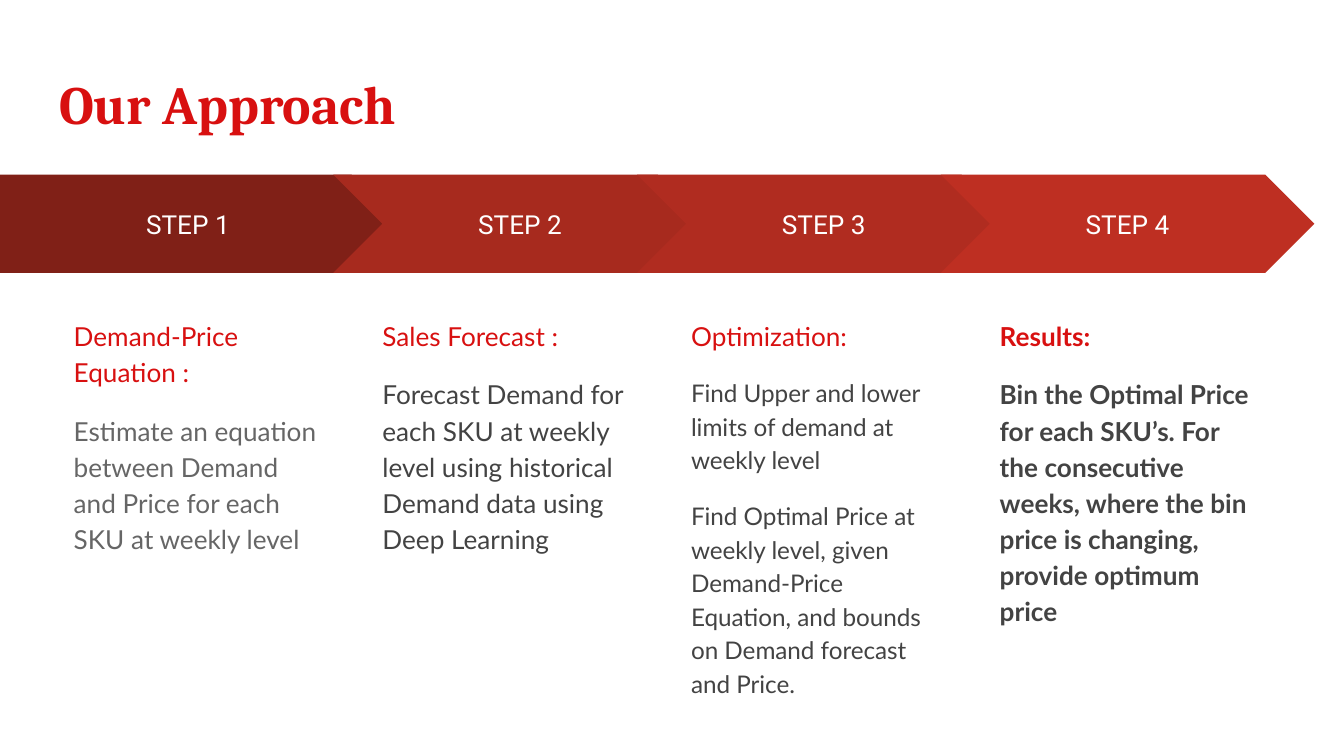
from pptx import Presentation
from pptx.dml.color import RGBColor
from pptx.enum.shapes import MSO_SHAPE
from pptx.enum.text import MSO_ANCHOR, MSO_AUTO_SIZE, PP_ALIGN
from pptx.util import Inches, Pt

RED = RGBColor(0xD8, 0x10, 0x10)
WHITE = RGBColor(0xFF, 0xFF, 0xFF)
GRAY = RGBColor(0x66, 0x66, 0x66)
DARK_GRAY = RGBColor(0x43, 0x43, 0x43)

# Content
TITLE = "Our Approach"
STEPS = [
    {"color": RGBColor(0x80, 0x20, 0x17), "heading": "Demand-Price Equation :",
     "body": ["Estimate an equation between Demand and Price for each SKU at weekly level"],
     "text_color": GRAY, "size": 14, "bold": False},
    {"color": RGBColor(0xA7, 0x2A, 0x1E), "heading": "Sales Forecast :",
     "body": ["Forecast Demand for each SKU at weekly level using historical "
              "Demand data using Deep Learning"],
     "text_color": DARK_GRAY, "size": 14, "bold": False},
    {"color": RGBColor(0xB0, 0x2C, 0x20), "heading": "Optimization:",
     "body": ["Find Upper and lower limits of demand at weekly level",
              "Find Optimal Price at weekly level, given Demand-Price Equation, "
              "and bounds on Demand forecast and Price."],
     "text_color": DARK_GRAY, "size": 13, "bold": False},
    {"color": RGBColor(0xBE, 0x2F, 0x22), "heading": "Results:",
     "body": ["Bin the Optimal Price for each SKU’s. For the consecutive weeks, "
              "where the bin price is changing, provide optimum price"],
     "text_color": DARK_GRAY, "size": 14, "bold": True},
]

# Layout, in inches
SLIDE_WIDTH = 10
SLIDE_HEIGHT = SLIDE_WIDTH * 9 / 16
ARROW_TOP, ARROW_HEIGHT = 1.3, 0.73
FIRST_ARROW_WIDTH, CHEVRON_WIDTH = 2.98, 2.78
CHEVRON_LEFT, CHEVRON_PITCH = 2.48, 2.26
FIRST_COLUMN_LEFT, LAST_COLUMN_LEFT = 0.45, 7.34
COLUMN_PITCH = (LAST_COLUMN_LEFT - FIRST_COLUMN_LEFT) / (len(STEPS) - 1)
COLUMN_TOP, COLUMN_WIDTH, COLUMN_HEIGHT = 2.25, 2.08, 2.86

FRAME_FORMAT = {
    "word_wrap": True, "auto_size": MSO_AUTO_SIZE.NONE,
    "margin_left": Inches(0.1), "margin_right": Inches(0.1),
    "margin_top": Inches(0.1), "margin_bottom": Inches(0.1),
}


def set_attributes(target, values):
    for name, value in values.items():
        setattr(target, name, value)


def format_frame(frame, anchor):
    set_attributes(frame, {**FRAME_FORMAT, "vertical_anchor": anchor})


def write_paragraph(paragraph, text, font_name, size, color, bold=False, **paragraph_format):
    run = paragraph.add_run()
    run.text = text
    set_attributes(run.font, {"name": font_name, "size": Pt(size), "bold": bold})
    run.font.color.rgb = color
    set_attributes(paragraph, paragraph_format)


def add_arrow(slide, index, color):
    if index == 0:
        kind, left, width = MSO_SHAPE.PENTAGON, 0, FIRST_ARROW_WIDTH
    else:
        kind, width = MSO_SHAPE.CHEVRON, CHEVRON_WIDTH
        left = CHEVRON_LEFT + (index - 1) * CHEVRON_PITCH
    arrow = slide.shapes.add_shape(kind, Inches(left), Inches(ARROW_TOP),
                                   Inches(width), Inches(ARROW_HEIGHT))
    arrow.adjustments[0] = 0.5
    arrow.shadow.inherit = False
    arrow.fill.solid()
    arrow.fill.fore_color.rgb = color
    arrow.line.fill.background()
    format_frame(arrow.text_frame, MSO_ANCHOR.MIDDLE)
    write_paragraph(arrow.text_frame.paragraphs[0], f"STEP {index + 1}", "Roboto", 14,
                    WHITE, alignment=PP_ALIGN.CENTER)


def add_column(slide, index, step):
    column = slide.shapes.add_textbox(
        Inches(FIRST_COLUMN_LEFT + index * COLUMN_PITCH), Inches(COLUMN_TOP),
        Inches(COLUMN_WIDTH), Inches(COLUMN_HEIGHT))
    frame = column.text_frame
    format_frame(frame, MSO_ANCHOR.TOP)
    write_paragraph(frame.paragraphs[0], step["heading"], "Lato", 14, RED, step["bold"],
                    line_spacing=1.15)
    for text in step["body"]:
        write_paragraph(frame.add_paragraph(), text, "Lato", step["size"],
                        step["text_color"], step["bold"],
                        line_spacing=1.15, space_before=Pt(12))


def main():
    presentation = Presentation()
    set_attributes(presentation, {"slide_width": Inches(SLIDE_WIDTH),
                                  "slide_height": Inches(SLIDE_HEIGHT)})
    slide = presentation.slides.add_slide(presentation.slide_layouts[5])

    # Title
    title = slide.shapes.title
    set_attributes(title, {"left": Inches(0.34), "top": Inches(0.43),
                           "width": Inches(9.32), "height": Inches(0.68)})
    format_frame(title.text_frame, MSO_ANCHOR.TOP)
    write_paragraph(title.text_frame.paragraphs[0], TITLE, "Cambria", 28.8, RED, True,
                    alignment=PP_ALIGN.LEFT)

    # Step arrows and their descriptions
    for index, step in enumerate(STEPS):
        add_arrow(slide, index, step["color"])
        add_column(slide, index, step)

    presentation.save("out.pptx")


if __name__ == "__main__":
    main()
